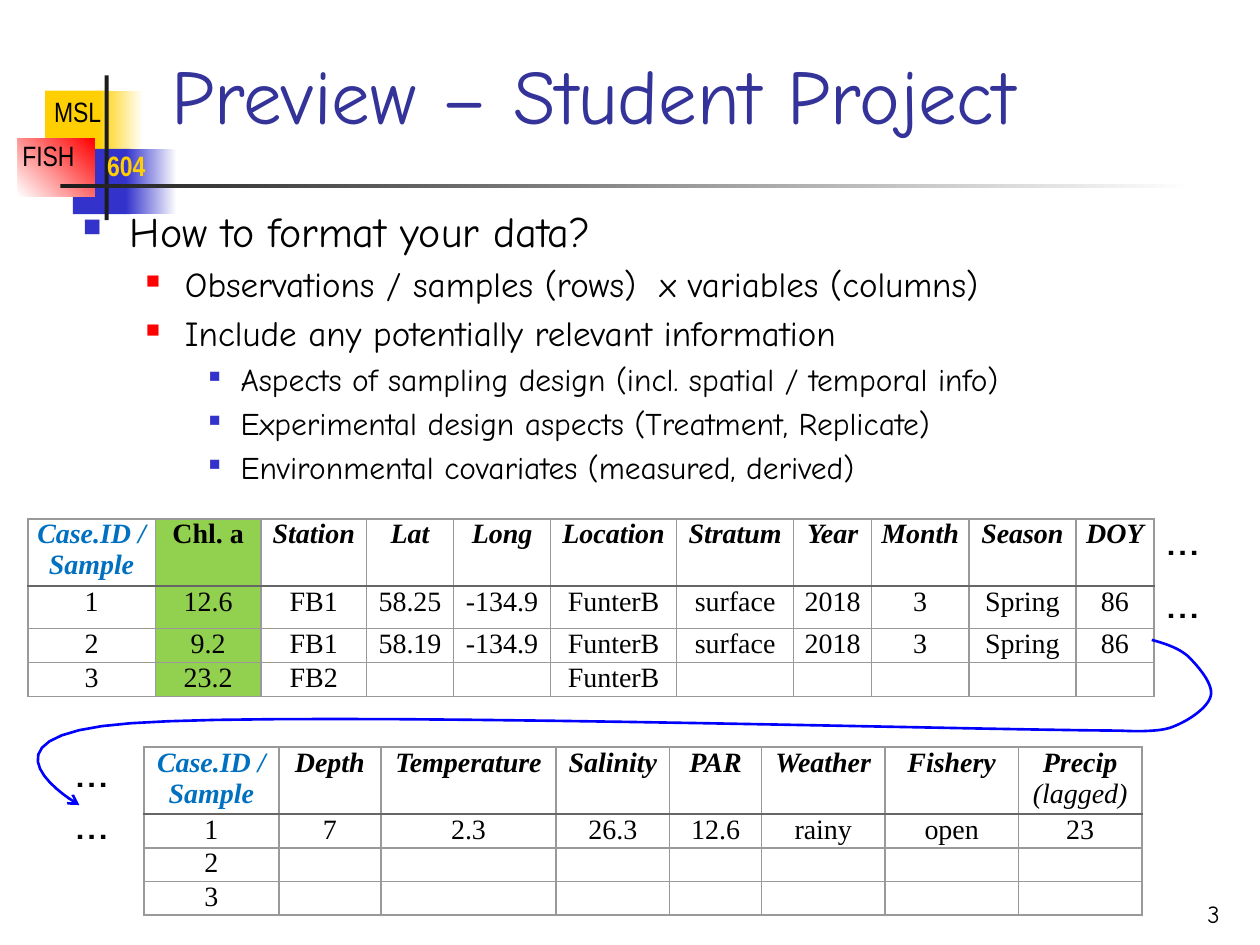
from lxml.etree import SubElement
from pptx import Presentation
from pptx.dml.color import RGBColor
from pptx.enum.shapes import MSO_SHAPE as Shape
from pptx.enum.text import MSO_ANCHOR as Anchor, PP_ALIGN as Align
from pptx.oxml.ns import qn
from pptx.util import Cm, Pt

BLACK = RGBColor(0x00, 0x00, 0x00)
WHITE = RGBColor(0xFF, 0xFF, 0xFF)
YELLOW = RGBColor(0xFF, 0xCF, 0x01)
BLUE = RGBColor(0x33, 0x33, 0xCC)
RED = RGBColor(0xFF, 0x00, 0x00)
DARK = RGBColor(0x1C, 0x1C, 0x1C)
TITLE_BLUE = RGBColor(0x33, 0x33, 0x99)
ID_BLUE = RGBColor(0x00, 0x70, 0xC0)
GREEN = RGBColor(0x92, 0xD0, 0x50)
ARROW_BLUE = RGBColor(0x00, 0x00, 0xFF)
GRID = RGBColor(0x99, 0x99, 0x99)
HEADER_RULE = RGBColor(0x66, 0x66, 0x66)

HAND = "Comic Neue"
NARROW = "Arial Narrow"
SERIF = "Times New Roman"

BLOCKS = [
    ((0.91, 1.83, 1.22, 1.32), YELLOW, None, 0),
    ((1.98, 1.83, 0.91, 1.32), YELLOW, WHITE, 0),
    ((1.47, 3, 1.17, 1.32), BLUE, None, 0),
    ((2.54, 3, 1.02, 1.32), BLUE, WHITE, 0),
    ((0.36, 2.79, 1.55, 1.17), WHITE, RED, 45),
    ((2.11, 1.52, 0.08, 2.92), DARK, None, 0),
    ((1.22, 3.71, 22.86, 0.08), DARK, WHITE, 0),
]
LABELS = [
    ((0.84, 1.78, 1.45, 0.94), "MSL", BLACK, False),
    ((0.2, 2.67, 1.57, 0.94), "FISH", BLACK, False),
    ((1.91, 2.87, 1.3, 0.94), "604", YELLOW, True),
]
LEVELS = [
    (0.95, 0.95, BLUE, 60, 24),
    (2.06, 0.79, RED, 55, 20),
    (3.18, 0.64, BLUE, 50, 18),
]
OUTLINE = [
    (0, "How to format your data?"),
    (1, "Observations / samples (rows)  x variables (columns)"),
    (1, "Include any potentially relevant information"),
    (2, "Aspects of sampling design (incl. spatial / temporal info)"),
    (2, "Experimental design aspects (Treatment, Replicate)"),
    (2, "Environmental covariates (measured, derived)"),
]
SAMPLE_COLS = [2.57, 2.13, 2.13, 1.75, 1.96, 2.54, 2.36, 1.57, 1.96, 2.16, 1.57]
SAMPLE_ROWS = [1.36, 0.85, 0.69, 0.68]
SAMPLES = [
    ["Case.ID / Sample", "Chl. a", "Station", "Lat", "Long", "Location",
     "Stratum", "Year", "Month", "Season", "DOY"],
    ["1", "12.6", "FB1", "58.25", "-134.9", "FunterB", "surface", "2018", "3", "Spring", "86"],
    ["2", "9.2", "FB1", "58.19", "-134.9", "FunterB", "surface", "2018", "3", "Spring", "86"],
    ["3", "23.2", "FB2", "", "", "FunterB", "", "", "", "", ""],
]
COVARIATE_COLS = [2.72, 2.06, 3.53, 2.29, 1.85, 2.49, 2.69, 2.49]
COVARIATE_ROWS = [1.25, 0.63, 0.63, 0.63]
COVARIATES = [
    ["Case.ID / Sample", "Depth", "Temperature", "Salinity", "PAR",
     "Weather", "Fishery", "Precip\n(lagged)"],
    ["1", "7", "2.3", "26.3", "12.6", "rainy", "open", "23"],
    ["2"] + [""] * 7,
    ["3"] + [""] * 7,
]
ELLIPSES = [(1.27, 15.82), (23.27, 10.08), (23.27, 11.35), (1.27, 14.76)]
CURVE_START = (23.22, 12.9)
CURVE = [
    ((23.5, 12.98), (23.75, 13.06), (23.95, 13.23)),
    ((24.16, 13.44), (24.46, 13.79), (24.41, 14.02)),
    ((24.36, 14.27), (23.93, 14.55), (23.62, 14.66)),
    ((23.32, 14.78), (22.58, 14.73), (22.58, 14.73)),
    ((19.1, 14.71), (6.12, 14.33), (2.64, 14.58)),
    ((-0.86, 14.83), (1.6, 16.23), (1.6, 16.23)),
]


def add_run(p, text, font, size, color, bold=False, italic=False):
    r = p.add_run()
    r.text = text
    r.font.name, r.font.size = font, Pt(size)
    r.font.bold, r.font.italic = bold, italic
    r.font.color.rgb = color


def add_block(slide, box, color, fade, angle):
    sp = slide.shapes.add_shape(Shape.RECTANGLE, *map(Cm, box))
    sp.shadow.inherit = False
    sp.line.fill.background()
    if fade is None:
        sp.fill.solid()
        sp.fill.fore_color.rgb = color
        return
    sp.fill.gradient()
    sp.fill.gradient_angle = angle
    for stop, rgb in zip(sp.fill.gradient_stops, (color, fade)):
        stop.color.rgb = rgb


def add_text(slide, box, text, font, size, color, bold=False, wrap=False,
             anchor=Anchor.TOP, align=Align.LEFT):
    tf = slide.shapes.add_textbox(*map(Cm, box)).text_frame
    tf.word_wrap, tf.vertical_anchor = wrap, anchor
    p = tf.paragraphs[0]
    p.alignment = align
    add_run(p, text, font, size, color, bold)


def add_outline(slide, box):
    tf = slide.shapes.add_textbox(*map(Cm, box)).text_frame
    tf.word_wrap = True
    for i, (level, text) in enumerate(OUTLINE):
        left, hang, color, percent, size = LEVELS[level]
        p = tf.add_paragraph() if i else tf.paragraphs[0]
        p.level = level
        if i:
            p.space_before = Pt(size * 0.2)
        pPr = p._p.get_or_add_pPr()
        pPr.set("marL", str(Cm(left)))
        pPr.set("indent", str(-Cm(hang)))
        SubElement(SubElement(pPr, qn("a:buClr")), qn("a:srgbClr"), val=str(color))
        SubElement(pPr, qn("a:buSzPct"), val=str(percent * 1000))
        SubElement(pPr, qn("a:buChar"), char="■")
        add_run(p, text, HAND, size, BLACK)


def add_border(cell, side, color, width):
    ln = SubElement(cell._tc.get_or_add_tcPr(), qn("a:ln" + side), w=str(Pt(width)))
    SubElement(SubElement(ln, qn("a:solidFill")), qn("a:srgbClr"), val=str(color))


def fill_cell(cell, text, row, col, highlight):
    cell.margin_left = cell.margin_right = Cm(0.18)
    cell.margin_top = cell.margin_bottom = 0
    rule_side = {0: "B", 1: "T"}.get(row)
    for side in "LRTB":
        add_border(cell, side, *((HEADER_RULE, 1.5) if side == rule_side else (GRID, 1)))
    if highlight:
        cell.fill.solid()
        cell.fill.fore_color.rgb = GREEN
    else:
        cell.fill.background()
    header = row == 0
    color = ID_BLUE if header and col == 0 else BLACK
    tf = cell.text_frame
    for i, line in enumerate(text.split("\n")):
        p = tf.add_paragraph() if i else tf.paragraphs[0]
        p.alignment = Align.CENTER
        if line:
            add_run(p, line, SERIF, 16, color, header and i == 0, header and not highlight)
        else:
            p._p.get_or_add_endParaRPr().set("sz", "1200")


def add_data_table(slide, left, top, widths, heights, data, highlight_col=None):
    frame = slide.shapes.add_table(len(heights), len(widths), Cm(left), Cm(top),
                                   Cm(sum(widths)), Cm(sum(heights)))
    table = frame.table
    table.first_row = table.horz_banding = False
    for column, width in zip(table.columns, widths):
        column.width = Cm(width)
    for row, height in zip(table.rows, heights):
        row.height = Cm(height)
    for i, values in enumerate(data):
        for j, text in enumerate(values):
            fill_cell(table.cell(i, j), text, i, j, j == highlight_col)


def bezier(ends, t):
    weights = ((1 - t) ** 3, 3 * t * (1 - t) ** 2, 3 * t * t * (1 - t), t ** 3)
    return tuple(Cm(sum(w * pt[k] for w, pt in zip(weights, ends))) for k in (0, 1))


def add_curved_arrow(slide, start, segments, steps=16):
    points, pen = [], start
    for segment in segments:
        points += [bezier((pen, *segment), n / steps) for n in range(1, steps + 1)]
        pen = segment[-1]
    builder = slide.shapes.build_freeform(Cm(start[0]), Cm(start[1]))
    builder.add_line_segments(points, close=False)
    sp = builder.convert_to_shape()
    sp.shadow.inherit = False
    sp.fill.background()
    sp.line.color.rgb, sp.line.width = ARROW_BLUE, Pt(1.5)
    SubElement(sp.line._get_or_add_ln(), qn("a:tailEnd"), type="arrow")


def main():
    prs = Presentation()
    prs.slide_width, prs.slide_height = Cm(25.4), Cm(19.05)
    slide = prs.slides.add_slide(prs.slide_layouts[6])
    for block in BLOCKS:
        add_block(slide, *block)
    for box, text, color, bold in LABELS:
        add_text(slide, box, text, NARROW, 16, color, bold)
    add_text(slide, (3.2, 0.58, 21.64, 2.36), "Preview – Student Project", HAND, 44,
             TITLE_BLUE, wrap=True, anchor=Anchor.BOTTOM)
    add_outline(slide, (1.42, 4.01, 24.16, 13.13))
    add_text(slide, (19.56, 17.58, 5.28, 1.27), "3", HAND, 14, BLACK, wrap=True,
             anchor=Anchor.BOTTOM, align=Align.RIGHT)
    add_data_table(slide, 0.56, 10.46, SAMPLE_COLS, SAMPLE_ROWS, SAMPLES, highlight_col=1)
    add_data_table(slide, 2.9, 15.06, COVARIATE_COLS, COVARIATE_ROWS, COVARIATES)
    for left, top in ELLIPSES:
        add_text(slide, (left, top, 1.32, 1.45), "…", "Cabin", 28, BLACK)
    add_curved_arrow(slide, CURVE_START, CURVE)
    prs.save("out.pptx")


if __name__ == "__main__":
    main()
